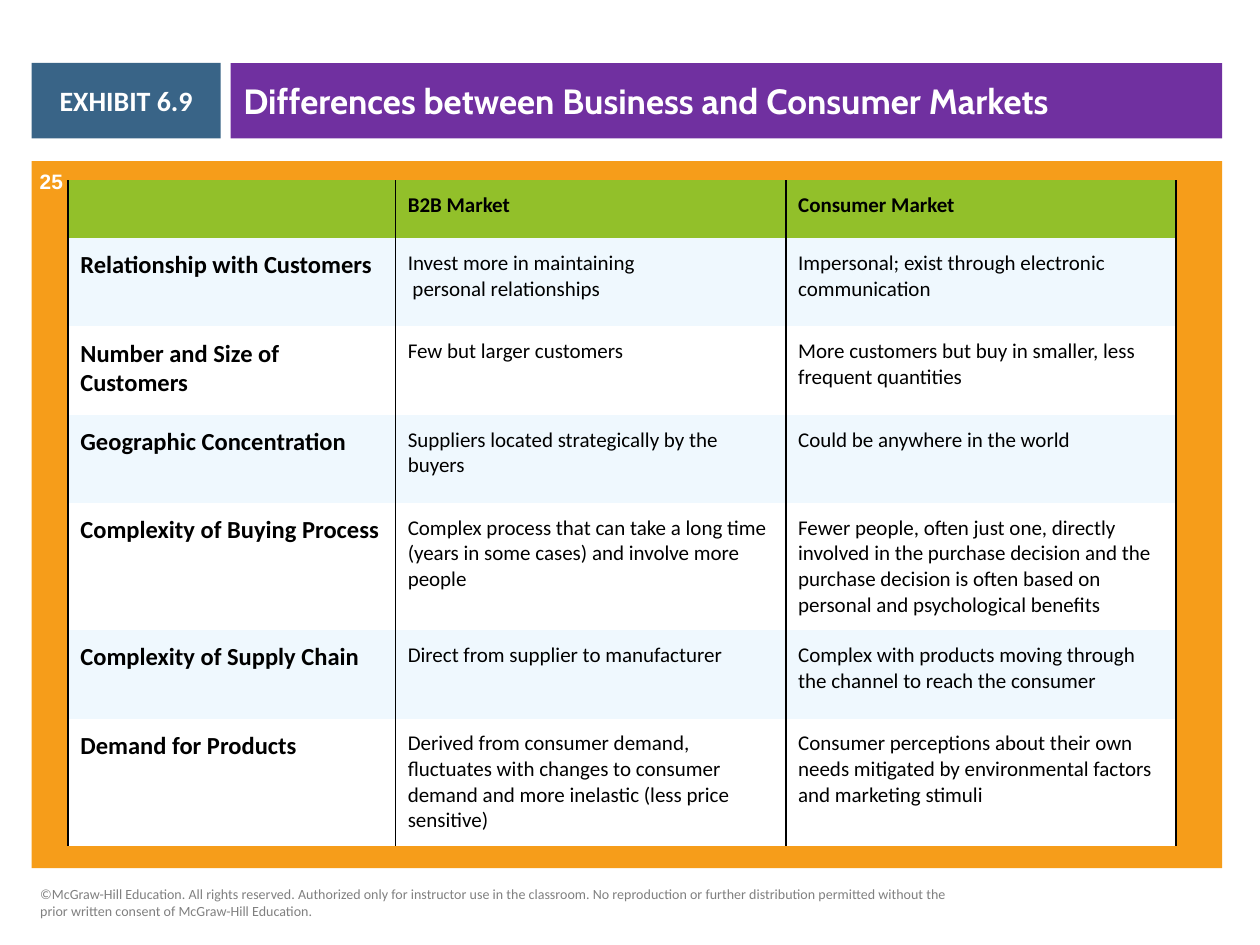
from dataclasses import dataclass

from lxml import etree
from pptx import Presentation
from pptx.dml.color import RGBColor
from pptx.enum.shapes import MSO_SHAPE
from pptx.enum.text import MSO_ANCHOR, MSO_AUTO_SIZE, PP_ALIGN
from pptx.oxml.ns import qn
from pptx.util import Cm, Pt

RECTANGLE = MSO_SHAPE.RECTANGLE
MIDDLE = MSO_ANCHOR.MIDDLE
TOP = MSO_ANCHOR.TOP
NO_AUTOFIT = MSO_AUTO_SIZE.NONE
LEFT = PP_ALIGN.LEFT
CENTER = PP_ALIGN.CENTER
TITLE_ONLY = 5


@dataclass(frozen=True)
class Theme:
    title_fill: str = "7030A0"
    exhibit_fill: str = "396487"
    panel_fill: str = "F69D1A"
    header_fill: str = "92C02A"
    band_fill: str = "EFF8FE"
    white: str = "FFFFFF"
    ink: str = "000000"
    muted: str = "808080"
    title_font: str = "Cabin"
    body_font: str = "Calibri"
    number_font: str = "Arial"
    title_size: float = 20
    exhibit_size: float = 16
    label_size: float = 14
    body_size: float = 12
    number_size: float = 11.9
    notice_size: float = 8
    border_width: float = 1


THEME = Theme()

MARKETS = [
    ("", "B2B Market", "Consumer Market"),
    ("Relationship with Customers",
     "Invest more in maintaining\n personal relationships",
     "Impersonal; exist through electronic communication"),
    ("Number and Size of Customers",
     "Few but larger customers",
     "More customers but buy in smaller, less frequent quantities"),
    ("Geographic Concentration",
     "Suppliers located strategically by the buyers",
     "Could be anywhere in the world"),
    ("Complexity of Buying Process",
     "Complex process that can take a long time (years in some cases) and involve more people",
     "Fewer people, often just one, directly involved in the purchase decision and the "
     "purchase decision is often based on personal and psychological benefits"),
    ("Complexity of Supply Chain",
     "Direct from supplier to manufacturer",
     "Complex with products moving through the channel to reach the consumer"),
    ("Demand for Products",
     "Derived from consumer demand, fluctuates with changes to consumer demand "
     "and more inelastic (less price sensitive)",
     "Consumer perceptions about their own needs mitigated by environmental factors "
     "and marketing stimuli"),
]
COLUMN_WIDTHS = (6.6, 7.87, 7.87)
HEADER_HEIGHT = 1.17
ROW_HEIGHT = 1.78
CELL_MARGIN = 0.25
COPYRIGHT = (
    "©McGraw-Hill Education. All rights reserved. Authorized only for instructor use in the "
    "classroom. No reproduction or further distribution permitted without the prior written "
    "consent of McGraw-Hill Education."
)


def write(frame, text, *, size, color, font=THEME.body_font, bold=False, align=LEFT, anchor=MIDDLE):
    frame.word_wrap = True
    frame.vertical_anchor = anchor
    for number, line in enumerate(text.split("\n")):
        paragraph = frame.add_paragraph() if number else frame.paragraphs[0]
        paragraph.alignment = align
        run = paragraph.add_run()
        run.text = line
        run.font.name = font
        run.font.size = Pt(size)
        run.font.bold = bold
        run.font.color.rgb = RGBColor.from_string(color)


def paint(item, color):
    item.fill.solid()
    item.fill.fore_color.rgb = RGBColor.from_string(color)


class SlideBuilder:
    def __init__(self, slide, theme):
        self.slide = slide
        self.theme = theme

    def title(self, text, left, top, width, height):
        heading = self.slide.shapes.title
        heading.left, heading.top = Cm(left), Cm(top)
        heading.width, heading.height = Cm(width), Cm(height)
        paint(heading, self.theme.title_fill)
        heading.text_frame.auto_size = NO_AUTOFIT
        write(heading.text_frame, text, size=self.theme.title_size,
              color=self.theme.white, font=self.theme.title_font, bold=True)

    def block(self, color, left, top, width, height):
        block = self.slide.shapes.add_shape(RECTANGLE, Cm(left), Cm(top), Cm(width), Cm(height))
        block.shadow.inherit = False
        block.line.fill.background()
        paint(block, color)
        return block

    def label(self, text, left, top, width, height, **text_format):
        label = self.slide.shapes.add_textbox(Cm(left), Cm(top), Cm(width), Cm(height))
        write(label.text_frame, text, **text_format)

    def table(self, rows, left, top):
        heights = [HEADER_HEIGHT] + [ROW_HEIGHT] * (len(rows) - 1)
        table = self.slide.shapes.add_table(
            len(rows), len(COLUMN_WIDTHS), Cm(left), Cm(top),
            Cm(sum(COLUMN_WIDTHS)), Cm(sum(heights))).table
        table.first_row = False
        table.horz_banding = False
        for column, width in zip(table.columns, COLUMN_WIDTHS):
            column.width = Cm(width)
        for row_number, (row, height, texts) in enumerate(zip(table.rows, heights, rows)):
            row.height = Cm(height)
            for column_number, (cell, text) in enumerate(zip(row.cells, texts)):
                self.cell(cell, text, row_number, column_number)

    def cell(self, cell, text, row_number, column_number):
        theme = self.theme
        if row_number == 0:
            paint(cell, theme.header_fill)
        else:
            paint(cell, theme.band_fill if row_number % 2 else theme.white)
        self.borders(cell)
        if not text:
            return
        cell.margin_left = cell.margin_right = Cm(CELL_MARGIN)
        cell.margin_top = cell.margin_bottom = Cm(CELL_MARGIN)
        write(cell.text_frame, text, color=theme.ink, anchor=TOP,
              size=theme.body_size if column_number else theme.label_size,
              bold=row_number == 0 or column_number == 0)

    def borders(self, cell):
        properties = cell._tc.get_or_add_tcPr()
        for position, side in enumerate(("lnL", "lnR", "lnT", "lnB")):
            border = etree.Element(qn(f"a:{side}"))
            properties.insert(position, border)
            if side in ("lnL", "lnR"):
                border.set("w", str(int(Pt(self.theme.border_width))))
                fill = etree.SubElement(border, qn("a:solidFill"))
                etree.SubElement(fill, qn("a:srgbClr"), val=self.theme.ink)
            else:
                etree.SubElement(border, qn("a:noFill"))


def main():
    deck = Presentation()
    deck.slide_width, deck.slide_height = Cm(25.4), Cm(19.05)
    slide = deck.slides.add_slide(deck.slide_layouts[TITLE_ONLY])
    builder = SlideBuilder(slide, THEME)

    builder.title("Differences between Business and Consumer Markets", 4.65, 1.27, 19.99, 1.52)
    exhibit = builder.block(THEME.exhibit_fill, 0.64, 1.27, 3.81, 1.52)
    write(exhibit.text_frame, "EXHIBIT 6.9", size=THEME.exhibit_size,
          color=THEME.white, bold=True, align=CENTER)
    builder.block(THEME.panel_fill, 0.64, 3.25, 24, 14.25)
    builder.table(MARKETS, 1.37, 3.63)
    builder.label("25", 0.3, 3.3, 1.47, 0.69, size=THEME.number_size,
                  color=THEME.white, font=THEME.number_font, bold=True, align=CENTER)
    builder.label(COPYRIGHT, 0.56, 17.53, 19.41, 1.32, size=THEME.notice_size, color=THEME.muted)
    deck.save("out.pptx")


if __name__ == "__main__":
    main()
